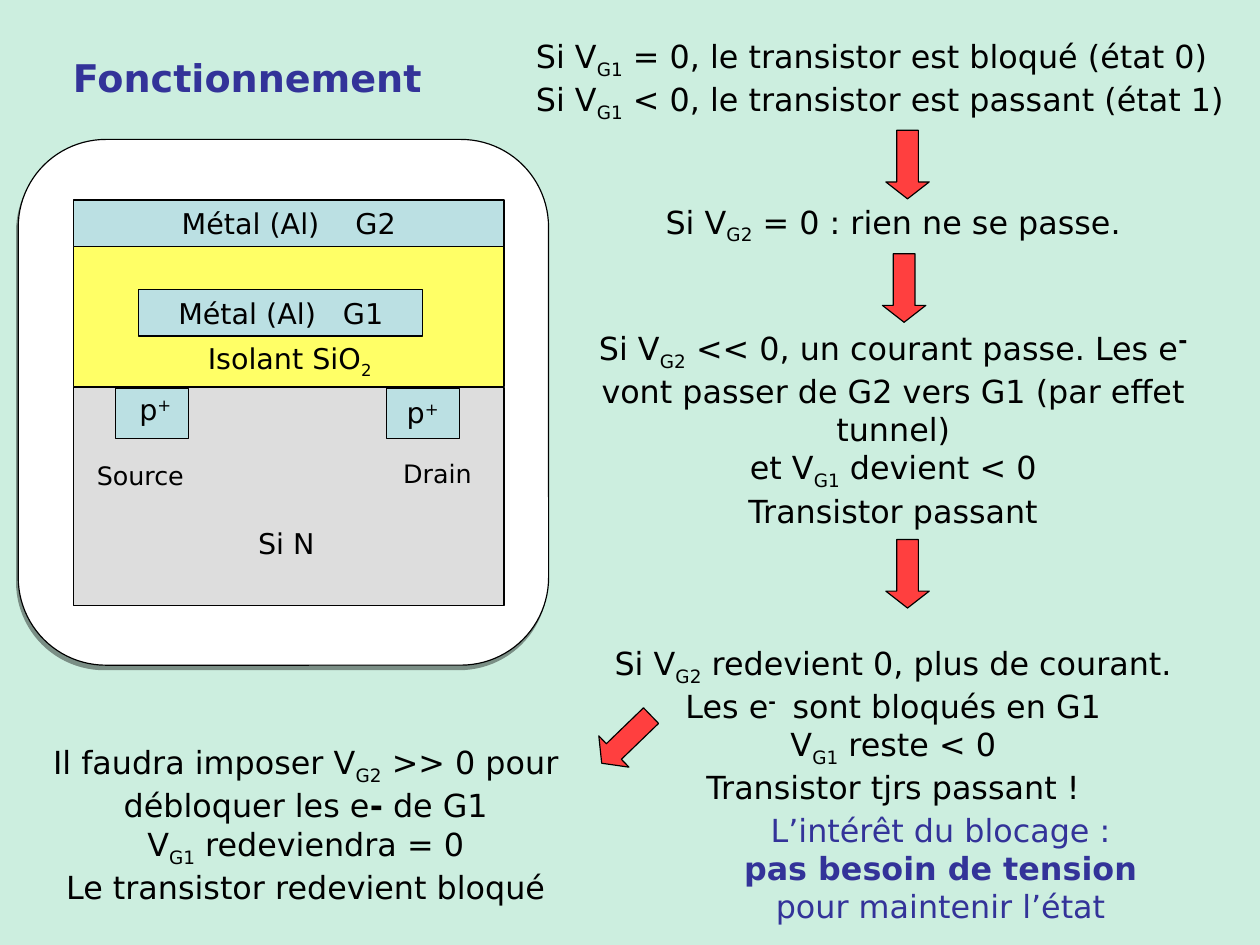
from lxml import etree
from pptx import Presentation
from pptx import util as u
from pptx.dml.color import RGBColor
from pptx.enum import shapes, text
from pptx.oxml.ns import qn

FONT = "DejaVu Sans"
BLACK, NAVY, RED = "000000", "333399", "FF3F3F"
METAL, GLASS, BASE = "BBE0E3", "FFFF66", "DDDDDD"
MARKS = "_^*~"
LEFT, MID = text.PP_ALIGN.LEFT, text.PP_ALIGN.CENTER
KIND = shapes.MSO_SHAPE


def tint(code):
    """Turn a hex string into a colour."""
    return RGBColor.from_string(code)


def style(run, size, code, marks=""):
    """Format a run; marks are _ low, ^ high, * bold, ~ large."""
    font = run.font
    font.name, font.size = FONT, u.Pt(24 if "~" in marks else size)
    font.bold = "*" in marks
    font.color.rgb = tint(code)
    if "_" in marks:
        font._element.set("baseline", "-25000")
    if "^" in marks:
        font._element.set("baseline", "30000")


def fill(frame, lines, size, code, align):
    """Write lines whose runs are parted by bars and led by marks."""
    for i, line in enumerate(lines):
        para = frame.paragraphs[0] if i == 0 else frame.add_paragraph()
        para.alignment = align
        for part in line.split("|"):
            words = part.lstrip(MARKS)
            run = para.add_run()
            run.text = words
            style(run, size, code, part[:len(part) - len(words)])


def note(slide, box, lines, size=20, code=BLACK, align=MID, wrap=True):
    """Add a text box that grows with its text."""
    frame = slide.shapes.add_textbox(*map(u.Inches, box)).text_frame
    frame.word_wrap = wrap
    frame.auto_size = text.MSO_AUTO_SIZE.SHAPE_TO_FIT_TEXT
    fill(frame, lines, size, code, align)


def block(slide, box, code, kind=KIND.RECTANGLE):
    """Add a filled shape with a thin black outline."""
    shape = slide.shapes.add_shape(kind, *map(u.Inches, box))
    shape.shadow.inherit = False
    shape.fill.solid()
    shape.fill.fore_color.rgb = tint(code)
    shape.line.color.rgb = tint(BLACK)
    shape.line.width = u.Pt(0.75)
    return shape


def gate(slide, box, name, inset, stop):
    """Add a metal gate with its name at a tab stop."""
    frame = block(slide, box, METAL).text_frame
    frame.margin_left, frame.margin_right = u.Inches(inset), 0
    frame.vertical_anchor = text.MSO_ANCHOR.MIDDLE
    fill(frame, [f"Métal (Al)\t{name}"], 18, BLACK, LEFT)
    props = frame.paragraphs[0]._p.get_or_add_pPr()
    tabs = etree.SubElement(props, qn("a:tabLst"))
    etree.SubElement(tabs, qn("a:tab"), pos=str(u.Inches(stop)), algn="l")


def card(slide, box):
    """Add the white rounded card with a hard shadow."""
    shape = block(slide, box, "FFFFFF", KIND.ROUNDED_RECTANGLE)
    effects = shape._element.spPr.find(qn("a:effectLst"))
    shade = etree.SubElement(effects, qn("a:outerShdw"), blurRad="0",
                             dist=str(u.Pt(3)), dir=str(110 * 60000),
                             algn="ctr", rotWithShape="0")
    ink = etree.SubElement(shade, qn("a:srgbClr"), val=BLACK)
    etree.SubElement(ink, qn("a:alpha"), val="40000")


def device(slide, box):
    """Draw the layers of the transistor on its card."""
    x, y, w, h = box
    card(slide, box)
    x, y, w = x + 0.48, y + 0.53, 3.77
    block(slide, (x, y + 1.64, w, 1.91), BASE)
    for dx in (0.37, 2.74):
        block(slide, (x + dx, y + 1.65, 0.64, 0.44), METAL)
    block(slide, (x, y + 0.41, w, 1.22), GLASS)
    gate(slide, (x, y, w, 0.41), "G2", 0.95, 1.52)
    gate(slide, (x + 0.57, y + 0.78, 2.49, 0.41), "G1", 0.35, 1.44)
    labels = [
        (1.08, 1.18, 1.63, 0.44, "Isolant SiO|_2", 18),
        (0.48, 1.63, 0.48, 0.4, "p|^+", 18),
        (2.82, 1.66, 0.48, 0.4, "p|^+", 18),
        (0.11, 2.23, 0.96, 0.37, "Source", 16),
        (2.79, 2.21, 0.8, 0.37, "Drain", 16),
        (1.52, 2.8, 0.7, 0.4, "Si N", 18),
    ]
    for dx, dy, wide, high, words, size in labels:
        note(slide, (x + dx, y + dy, wide, high), [words], size,
             align=LEFT, wrap=False)


def arrow(slide, x, y, turn=0):
    """Add a red block arrow."""
    shape = block(slide, (x, y, 0.38, 0.6), RED, KIND.DOWN_ARROW)
    shape.adjustments[0], shape.adjustments[1] = 0.5, 0.389
    shape.rotation = turn


def steps(slide, box):
    """Write the column of steps and the arrows between them."""
    x, y, w, h = box
    note(slide, (x - 0.43, y, 6.22, 0.85), [
        "Si V|_G1| = 0, le transistor est bloqué (état 0)",
        "Si V|_G1| < 0, le transistor est passant (état 1)",
    ], align=LEFT, wrap=False)
    note(slide, (x, y + 1.45, w, 0.48),
         ["Si V|_G2| = 0 : rien ne se passe."])
    note(slide, (x, y + 2.5, w, 1.9), [
        "Si V|_G2| << 0, un courant passe. Les e|^*~-"
        "| vont passer de G2 vers G1 (par effet tunnel)",
        "et V|_G1| devient < 0",
        "Transistor passant",
    ])
    note(slide, (x, y + 5.31, w, 1.55), [
        "Si V|_G2| redevient 0, plus de courant. Les e|^*- "
        "| sont bloqués en G1",
        "V|_G1| reste < 0",
        "Transistor tjrs passant !",
    ])
    for dx, dy in ((2.73, 0.87), (2.7, 1.95), (2.73, 4.45)):
        arrow(slide, x + dx, y + dy)
    arrow(slide, x + 0.27, y + 5.9, 46)


def ending(slide, box):
    """Write how to unblock the transistor and why blocking helps."""
    x, y, w, h = box
    note(slide, (x, y, 5.51, h), [
        "Il faudra imposer V|_G2| >> 0 pour débloquer les e|*-| de G1",
        "V|_G1| redeviendra = 0",
        "Le transistor redevient bloqué",
    ])
    note(slide, (x + 6.46, y + 0.59, 3.7, 1.1), [
        "L’intérêt du blocage : |*pas besoin de tension",
        "pour maintenir l’état",
    ], code=NAVY)


def main():
    """Build the slide and save it."""
    deck = Presentation()
    deck.slide_width = u.Inches(28 / 2.54)
    deck.slide_height = u.Inches(21 / 2.54)
    slide = deck.slides.add_slide(deck.slide_layouts[6])
    slide.background.fill.solid()
    slide.background.fill.fore_color.rgb = tint("CCEEDF")
    device(slide, (0.16, 1.22, 4.64, 4.6))
    steps(slide, (5.02, 0.27, 5.59, 7.17))
    note(slide, (0.54, 0.43, 3.26, 0.5), ["*Fonctionnement"], 24, NAVY,
         LEFT, False)
    ending(slide, (-0.08, 6.45, 10.16, 1.53))
    deck.save("out.pptx")


if __name__ == "__main__":
    main()
